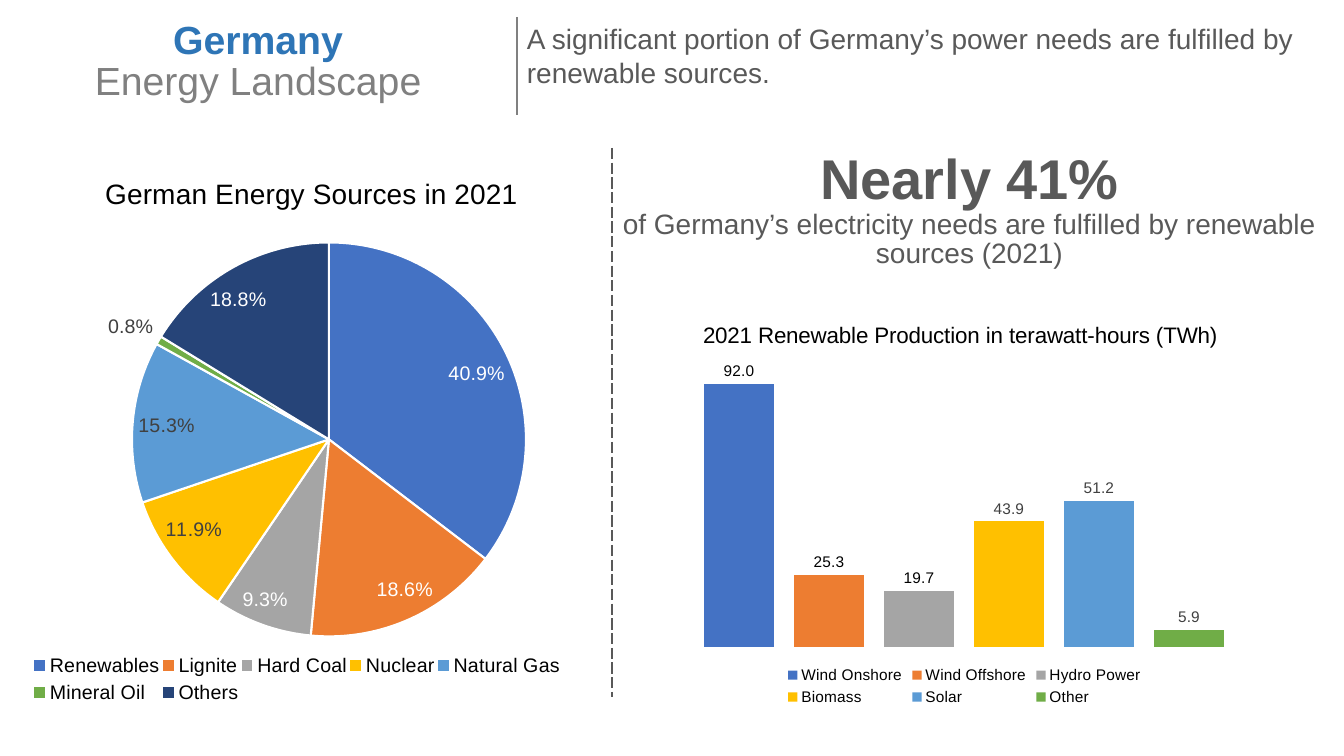
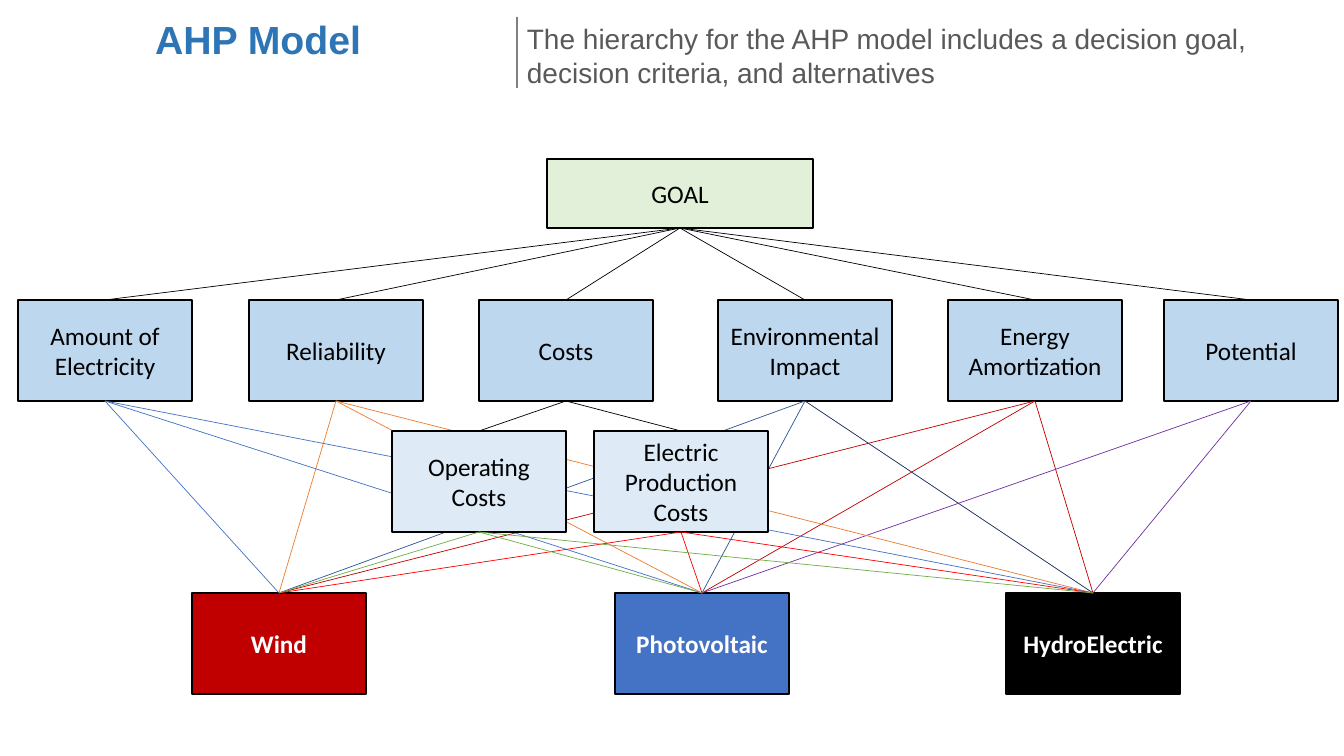
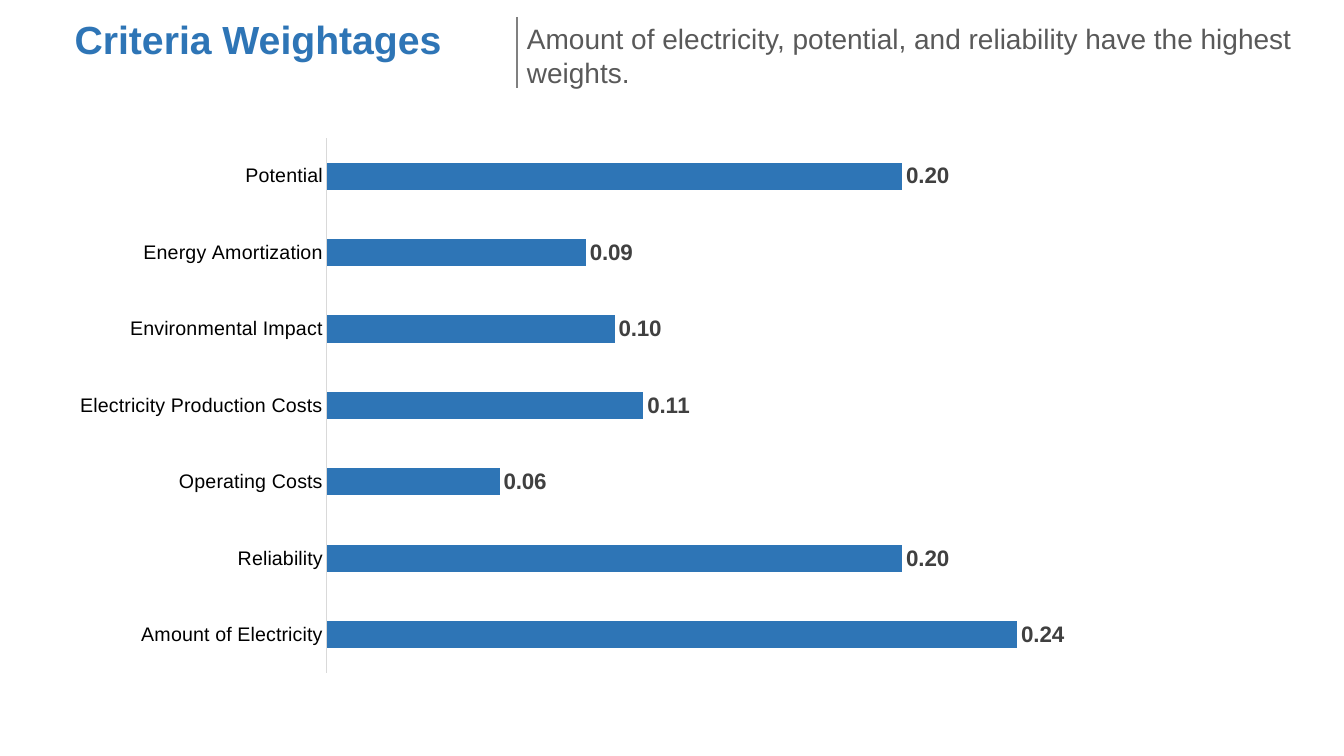
import pptx
import pptx.chart.data
import pptx.dml.color
import pptx.enum.chart
import pptx.enum.shapes
import pptx.enum.text
import pptx.oxml
import pptx.oxml.ns
import pptx.util
from lxml import etree

SCALE = 914400 / 100.8  # EMU in one px
COLORS = {
    "title": "2E75B6", "gray": "808080", "text": "595959", "label": "404040",
    "axis": "D9D9D9", "black": "000000", "white": "FFFFFF",
    "blue": "4472C4", "orange": "ED7D31", "silver": "A5A5A5", "gold": "FFC000",
    "sky": "5B9BD5", "green": "70AD47", "navy": "264478",
    "goal": "E2F0D9", "criterion": "BDD7EE", "cost": "DEEBF7",
    "dark red": "C00000", "red": "FF0000", "purple": "7030A0",
    "deep blue": "2F5597", "midnight": "203864",
}
RGB = {name: pptx.dml.color.RGBColor.from_string(value) for name, value in COLORS.items()}
SERIES_COLORS = ["blue", "orange", "silver", "gold", "sky", "green", "navy"]

CHART = pptx.enum.chart.XL_CHART_TYPE
LABEL = pptx.enum.chart.XL_LABEL_POSITION
LEGEND = pptx.enum.chart.XL_LEGEND_POSITION
STRAIGHT = pptx.enum.shapes.MSO_CONNECTOR.STRAIGHT
RECTANGLE = pptx.enum.shapes.MSO_SHAPE.RECTANGLE
CENTER = pptx.enum.text.PP_ALIGN.CENTER
TOP, BOTTOM = 0, 2  # connection sites of a rectangle
qn = pptx.oxml.ns.qn


def px(*values):
    return [round(value * SCALE) for value in values]


def style_font(font, size, color, bold=False, name="Arial"):
    font.name = name
    font.size = pptx.util.Pt(size)
    font.bold = bold
    font.color.rgb = RGB[color]


deck = pptx.Presentation()
deck.slide_width, deck.slide_height = px(1344, 756)
energy_page, model_page, weight_page = [
    deck.slides.add_slide(deck.slide_layouts[6]) for _ in range(3)]

# Key messages at the top right
messages = [
    (energy_page,
     "A significant portion of Germany’s power needs are fulfilled by renewable sources."),
    (model_page,
     "The hierarchy for the AHP model includes a decision goal, decision criteria, and alternatives"),
    (weight_page,
     "Amount of electricity, potential, and reliability have the highest weights."),
]
for page, message in messages:
    box = page.shapes.add_textbox(*px(517, 17, 819, 78))
    box.text_frame.word_wrap = True
    para = box.text_frame.paragraphs[0]
    para.text = message
    style_font(para.font, 20, "text")

# One-cell tables: headings with a rule on the right, key figure with a dashed rule on the left
heading_place = (-1, 17, 518, 71)
heading_rule = ("lnR", "gray", "solid")
tables = [
    (energy_page, heading_place, heading_rule,
     [("Germany", 28, "title"), ("Energy Landscape", 28, "gray")]),
    (model_page, heading_place, heading_rule, [("AHP Model", 28, "title")]),
    (weight_page, heading_place, heading_rule, [("Criteria Weightages", 28, "title")]),
    (energy_page, (612, 148, 715, 549), ("lnL", "text", "dash"),
     [("Nearly 41%", 40, "text"),
      ("of Germany’s electricity needs are fulfilled by renewable sources (2021)", 20, "text")]),
]
for page, place, (rule_side, rule_color, rule_dash), text_lines in tables:
    table = page.shapes.add_table(1, 1, *px(*place)).table
    table.first_row = False
    table.horz_banding = False
    cell = table.cell(0, 0)
    cell.fill.background()
    cell.text_frame.text = "\n".join(text for text, size, color in text_lines)
    for index, (text, size, color) in enumerate(text_lines):
        para = cell.text_frame.paragraphs[index]
        para.alignment = CENTER
        para.line_spacing = 0.93
        style_font(para.font, size, color, bold=index == 0)
    cell_properties = cell.text_frame.paragraphs[0].font and table.cell(0, 0)._tc.get_or_add_tcPr()
    for index, side in enumerate(("lnL", "lnR", "lnT", "lnB")):
        border = etree.Element(qn("a:" + side))
        if side == rule_side:
            border.set("w", str(pptx.util.Pt(1)))
            fill = etree.SubElement(border, qn("a:solidFill"))
            etree.SubElement(fill, qn("a:srgbClr")).set("val", COLORS[rule_color])
            etree.SubElement(border, qn("a:prstDash")).set("val", rule_dash)
        else:
            etree.SubElement(border, qn("a:noFill"))
        cell_properties.insert(index, border)

# Energy landscape: pie of sources
data = pptx.chart.data.CategoryChartData(number_format="0.0%")
data.categories = ["Renewables", "Lignite", "Hard Coal", "Nuclear",
                   "Natural Gas", "Mineral Oil", "Others"]
data.add_series("Series 1", [0.409, 0.186, 0.093, 0.119, 0.153, 0.008, 0.188])
source_frame = (17, 148, 582, 562)
source_chart = energy_page.shapes.add_chart(CHART.PIE, *px(*source_frame), data).chart
source_plot = source_chart.plots[0]
source_plot.vary_by_categories = True
labels = source_plot.series[0].data_labels
labels.show_value = True
labels.number_format = "0.0%"
labels.number_format_is_linked = False
labels.position = LABEL.BEST_FIT
style_font(labels.font, 14, "label")
for index, color in enumerate(SERIES_COLORS):
    point = source_plot.series[0].points[index]
    point.format.fill.solid()
    point.format.fill.fore_color.rgb = RGB[color]
    point.format.line.color.rgb = RGB["white"]
    point.format.line.width = pptx.util.Pt(1.5)
    if color in ("blue", "orange", "silver", "navy"):
        style_font(point.data_label.font, 14, "white")
        point.data_label.position = LABEL.BEST_FIT

# Energy landscape: columns of renewable production
production = [("Wind Onshore", 92), ("Wind Offshore", 25.3), ("Hydro Power", 19.7),
              ("Biomass", 43.9), ("Solar", 51.2), ("Other", 5.9)]
data = pptx.chart.data.CategoryChartData(number_format="0.0")
data.categories = ["1"]
for name, value in production:
    data.add_series(name, [value])
production_frame = (612, 305, 705, 405)
production_chart = energy_page.shapes.add_chart(
    CHART.COLUMN_CLUSTERED, *px(*production_frame), data).chart
production_plot = production_chart.plots[0]
production_plot.gap_width = 219
production_plot.overlap = -27
production_chart.category_axis.visible = False
for index, series in enumerate(production_plot.series):
    series.format.fill.solid()
    series.format.fill.fore_color.rgb = RGB[SERIES_COLORS[index]]
    style_font(series.data_labels.font, 11, "black" if index < 3 else "label")

# Criteria weightages: bars
data = pptx.chart.data.CategoryChartData(number_format="0.00")
data.categories = ["Amount of Electricity", "Reliability", "Operating Costs",
                   "Electricity Production Costs", "Environmental Impact",
                   "Energy Amortization", "Potential"]
data.add_series("Series 1", [0.24, 0.2, 0.06, 0.11, 0.1, 0.09, 0.2])
weight_frame = (56, 127, 1155, 557)
weight_chart = weight_page.shapes.add_chart(CHART.BAR_CLUSTERED, *px(*weight_frame), data).chart
weight_chart.has_legend = False
weight_chart.has_title = False
weight_chart.plots[0].gap_width = 182
weight_series = weight_chart.plots[0].series[0]
weight_series.format.fill.solid()
weight_series.format.fill.fore_color.rgb = RGB["title"]
style_font(weight_series.data_labels.font, 16, "label", bold=True)
axis = weight_chart.category_axis
axis.major_tick_mark = pptx.enum.chart.XL_TICK_MARK.NONE
axis.has_major_gridlines = False
axis.format.line.color.rgb = RGB["axis"]
axis.format.line.width = pptx.util.Pt(0.75)
style_font(axis.tick_labels.font, 14, "black")

# Rules for both bar charts: hidden value axis, values at the bar ends
for chart, maximum, number_format in ((production_chart, 100, "0.0"), (weight_chart, 0.3, "0.00")):
    chart.plots[0].vary_by_categories = False
    chart.value_axis.visible = False
    chart.value_axis.has_major_gridlines = False
    chart.value_axis.minimum_scale = 0
    chart.value_axis.maximum_scale = maximum
    for series in chart.plots[0].series:
        series.data_labels.show_value = True
        series.data_labels.number_format = number_format
        series.data_labels.number_format_is_linked = False
        series.data_labels.position = LABEL.OUTSIDE_END

# Titles and legends of the energy charts
for chart, text, title_size, legend_size in (
        (source_chart, "German Energy Sources in 2021", 20, 14),
        (production_chart, "2021 Renewable Production in terawatt-hours (TWh)", 16, 11)):
    chart.has_title = True
    chart.chart_title.text_frame.text = text
    style_font(chart.chart_title.text_frame.paragraphs[0].font, title_size, "black")
    chart.has_legend = True
    chart.legend.position = LEGEND.BOTTOM
    chart.legend.include_in_layout = False
    style_font(chart.legend.font, legend_size, "black")

# Fixed places of plot areas, titles and legend inside their chart frames
for chart, frame, part, place in (
        (source_chart, source_frame, "plotArea", (132, 242, 394, 395)),
        (source_chart, source_frame, "title", (100, 171)),
        (source_chart, source_frame, "legend", (31, 650, 532, 58)),
        (production_chart, production_frame, "plotArea", (626, 361, 676, 286)),
        (production_chart, production_frame, "title", (699, 317)),
        (weight_chart, weight_frame, "plotArea", (327, 138, 863, 535))):
    owner = chart.element.find(".//" + qn("c:" + part))
    for old_layout in owner.findall(qn("c:layout")):
        owner.remove(old_layout)
    layout = etree.Element(qn("c:layout"))
    manual = etree.SubElement(layout, qn("c:manualLayout"))
    left, top, width, height = frame
    shares = [(place[0] - left) / width, (place[1] - top) / height]
    shares += [length / total for length, total in zip(place[2:], (width, height))]
    settings = [("xMode", "edge"), ("yMode", "edge")]
    if part == "plotArea":
        settings.insert(0, ("layoutTarget", "inner"))
    settings += [(key, f"{share:.4f}") for key, share in zip("xywh", shares)]
    for key, value in settings:
        etree.SubElement(manual, qn("c:" + key)).set("val", value)
    owner.insert(0 if part == "plotArea" else 1, layout)

# AHP model: each level is drawn with the links that end or start there
alternatives = ["Wind", "Photovoltaic", "HydroElectric"]
levels = [
    ([("GOAL", 547, 159, 266, 69, "goal"),
      ("Amount of Electricity", 18, 300, 174, 101, "criterion"),
      ("Reliability", 249, 300, 174, 101, "criterion"),
      ("Costs", 479, 300, 174, 101, "criterion"),
      ("Environmental Impact", 718, 300, 174, 101, "criterion"),
      ("Energy Amortization", 948, 300, 174, 101, "criterion"),
      ("Potential", 1164, 300, 174, 101, "criterion"),
      ("Wind", 192, 593, 174, 101, "dark red"),
      ("Photovoltaic", 615, 593, 174, 101, "blue"),
      ("HydroElectric", 1006, 593, 174, 101, "black")],
     [("GOAL", "black", ["Amount of Electricity", "Reliability", "Costs",
                         "Environmental Impact", "Energy Amortization", "Potential"]),
      ("Environmental Impact", "deep blue", ["Wind", "Photovoltaic"]),
      ("Environmental Impact", "midnight", ["HydroElectric"]),
      ("Energy Amortization", "dark red", alternatives),
      ("Potential", "purple", ["Photovoltaic", "HydroElectric"]),
      ("Reliability", "orange", alternatives),
      ("Amount of Electricity", "blue", alternatives)]),
    ([("Operating Costs", 392, 431, 174, 101, "cost"),
      ("Electric Production Costs", 594, 431, 174, 101, "cost")],
     [("Costs", "black", ["Operating Costs", "Electric Production Costs"]),
      ("Electric Production Costs", "red", alternatives),
      ("Operating Costs", "green", alternatives)]),
]
nodes = {}
for boxes, links in levels:
    for name, left, top, width, height, color in boxes:
        node = model_page.shapes.add_shape(RECTANGLE, *px(left, top, width, height))
        nodes[name] = node
        node.shadow.inherit = False
        node.fill.solid()
        node.fill.fore_color.rgb = RGB[color]
        node.line.color.rgb = RGB["black"]
        node.line.width = pptx.util.Pt(1)
        node.text_frame.word_wrap = True
        node.text_frame.vertical_anchor = pptx.enum.text.MSO_ANCHOR.MIDDLE
        para = node.text_frame.paragraphs[0]
        para.text = name
        para.alignment = CENTER
        is_alternative = name in alternatives
        style_font(para.font, 18, "white" if is_alternative else "black",
                   bold=is_alternative, name="Calibri")
    for start, color, ends in links:
        for end in ends:
            link = model_page.shapes.add_connector(STRAIGHT, 0, 0, 0, 0)
            link.begin_connect(nodes[start], BOTTOM)
            link.end_connect(nodes[end], TOP)
            link.line.color.rgb = RGB[color]
            link.line.width = pptx.util.Pt(0.5)
            properties = link.element.find(qn("p:spPr"))
            etree.SubElement(properties, qn("a:effectLst"))

deck.save("out.pptx")
